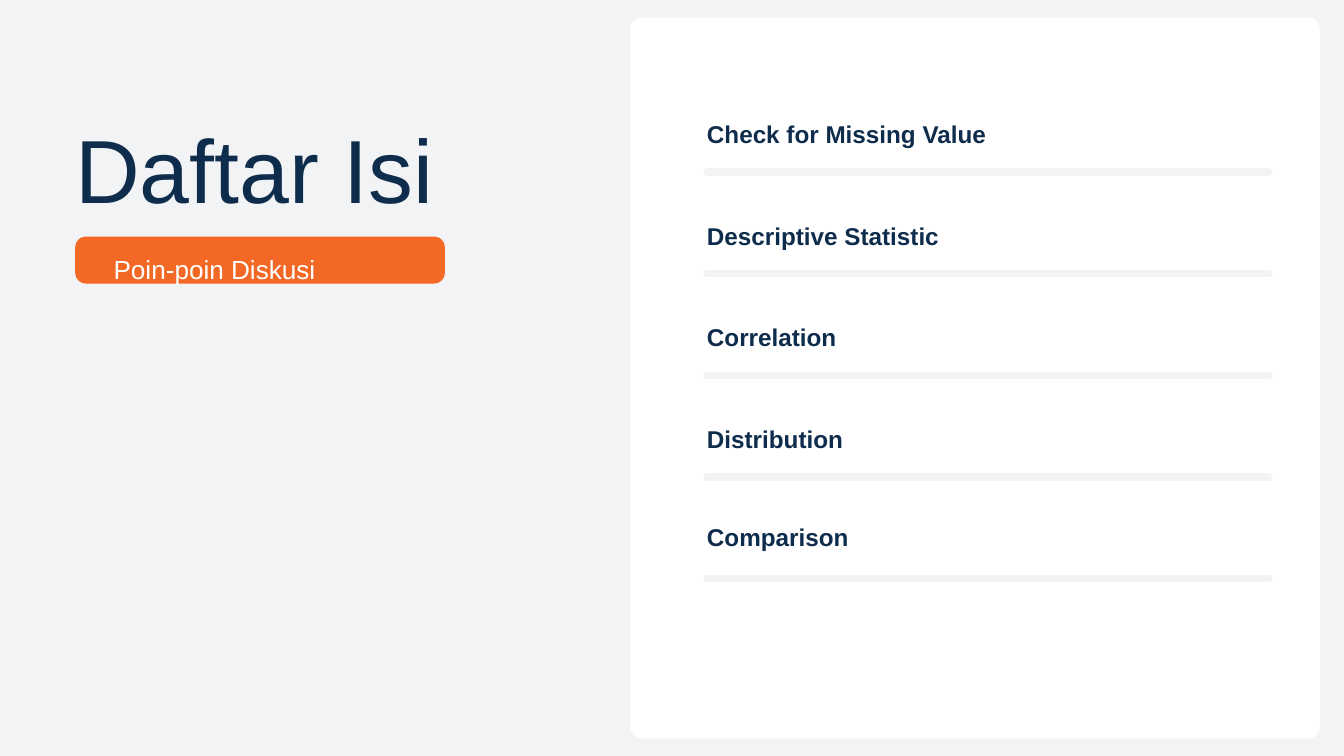
"""Builds the table-of-contents slide with a heading, a badge and five ruled topics."""
import dataclasses

import pptx
import pptx.dml.color
import pptx.enum.shapes
import pptx.enum.text
import pptx.oxml
import pptx.oxml.ns
import pptx.util

Inches = pptx.util.Inches

TITLE = "Daftar Isi"
BADGE = "Poin-poin Diskusi"
TOPICS = [
    ("Check for Missing Value", 0),
    ("Descriptive Statistic", 0),
    ("Correlation", 0),
    ("Distribution", 0),
    ("Comparison", -0.06),
]


@dataclasses.dataclass(frozen=True)
class Theme:
    """Colours, type sizes and line weight."""
    font: str = "Arial"
    mist: str = "F2F3F4"
    white: str = "FFFFFF"
    navy: str = "0E2C4B"
    orange: str = "F36825"
    title: int = 96
    badge: int = 28
    topic: int = 26
    rule: int = 8


THEME = Theme()
WIDTH, HEIGHT = 20, 11.25
LEFT_COLUMN, RIGHT_COLUMN = 1.12, 10.52
COLUMN_WIDTH = 8.36
FIRST_LABEL, FIRST_RULE, ROW_PITCH = 1.6, 2.56, 1.513


def color(value):
    return pptx.dml.color.RGBColor.from_string(value)


def place(shape, left, top, width, height):
    shape.left, shape.top = Inches(left), Inches(top)
    shape.width, shape.height = Inches(width), Inches(height)


def write(box, text, size, ink, spacing, bold=False):
    frame = box.text_frame
    frame.word_wrap = True
    frame.auto_size = pptx.enum.text.MSO_AUTO_SIZE.NONE
    frame.vertical_anchor = pptx.enum.text.MSO_ANCHOR.TOP
    frame.margin_left = frame.margin_right = frame.margin_top = frame.margin_bottom = 0
    para = frame.paragraphs[0]
    para.alignment = pptx.enum.text.PP_ALIGN.LEFT
    para.line_spacing = spacing
    span = para.add_run()
    span.text = text
    span.font.name, span.font.size = THEME.font, pptx.util.Pt(size)
    span.font.bold = bold
    span.font.color.rgb = color(ink)


def add_label(page, area, *style, **options):
    box = page.shapes.add_textbox(*map(Inches, area))
    write(box, *style, **options)


def add_panel(page, area, fill, radius):
    panel = page.shapes.add_shape(
        pptx.enum.shapes.MSO_SHAPE.ROUNDED_RECTANGLE, *map(Inches, area))
    panel.adjustments[0] = radius / min(area[2:])
    panel.shadow.inherit = False
    panel.fill.solid()
    panel.fill.fore_color.rgb = color(fill)
    panel.line.fill.background()


def add_rule(page, top):
    rule = page.shapes.add_connector(
        pptx.enum.shapes.MSO_CONNECTOR.STRAIGHT, Inches(RIGHT_COLUMN), Inches(top),
        Inches(RIGHT_COLUMN + COLUMN_WIDTH), Inches(top))
    rule.line.color.rgb = color(THEME.mist)
    rule.line.width = pptx.util.Pt(THEME.rule)
    properties = rule.element.spPr
    properties.find(pptx.oxml.ns.qn("a:ln")).set("cap", "rnd")
    properties.append(pptx.oxml.parse_xml(
        f"<a:effectLst {pptx.oxml.ns.nsdecls('a')}/>"))


def main():
    deck = pptx.Presentation()
    deck.slide_width, deck.slide_height = Inches(WIDTH), Inches(HEIGHT)
    page = deck.slides.add_slide(deck.slide_layouts[5])
    page.background.fill.solid()
    page.background.fill.fore_color.rgb = color(THEME.mist)

    title = page.shapes.title
    place(title, LEFT_COLUMN, 1.37, 6.75, 1.62)
    write(title, TITLE, THEME.title, THEME.navy, 1.2)

    add_panel(page, (9.38, 0.26, 10.26, 10.73), THEME.white, 0.17)
    add_panel(page, (LEFT_COLUMN, 3.52, 5.5, 0.7), THEME.orange, 0.16)
    add_label(page, (1.69, 3.67, 4.58, 0.47), BADGE, THEME.badge, THEME.white, 1.2)

    for row, (topic, nudge) in enumerate(TOPICS):
        offset = row * ROW_PITCH
        add_rule(page, FIRST_RULE + offset)
        add_label(page, (RIGHT_COLUMN, FIRST_LABEL + offset + nudge, COLUMN_WIDTH, 0.44),
                  topic, THEME.topic, THEME.navy, 1.4, bold=True)

    deck.save("out.pptx")


if __name__ == "__main__":
    main()
